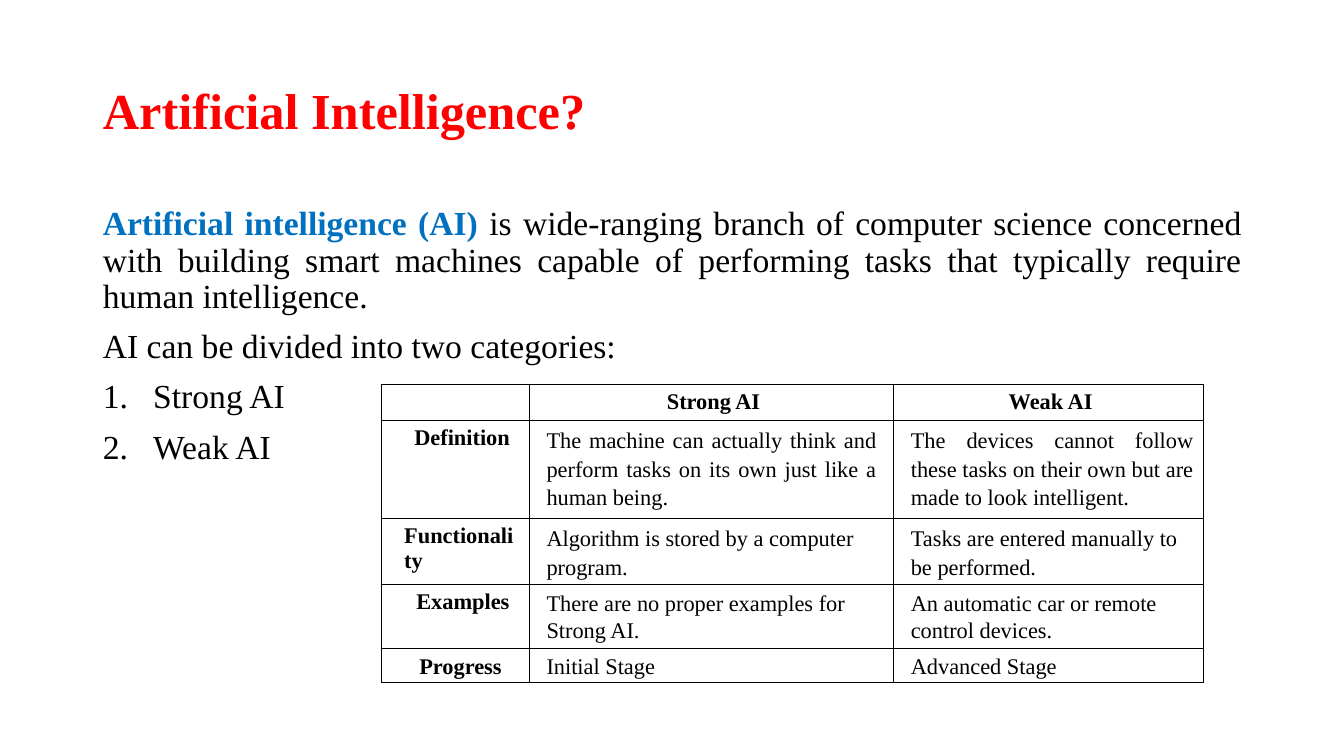
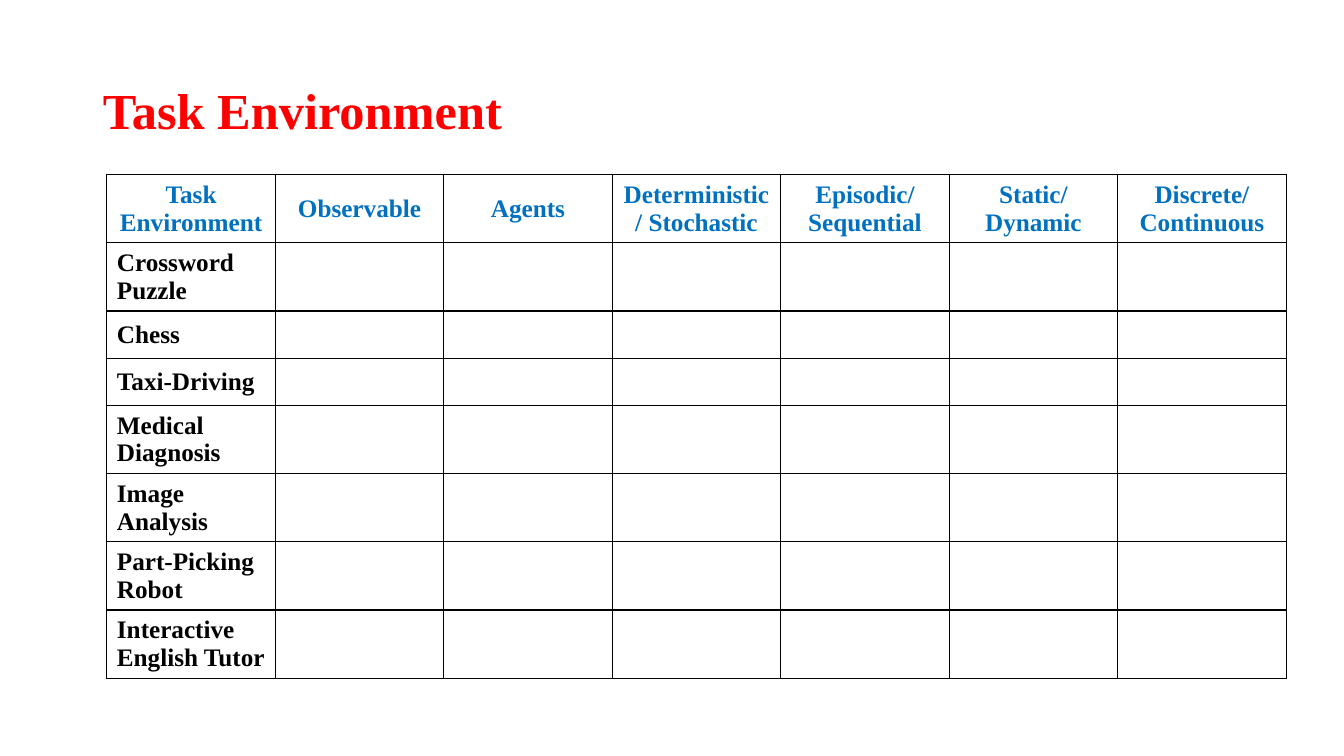
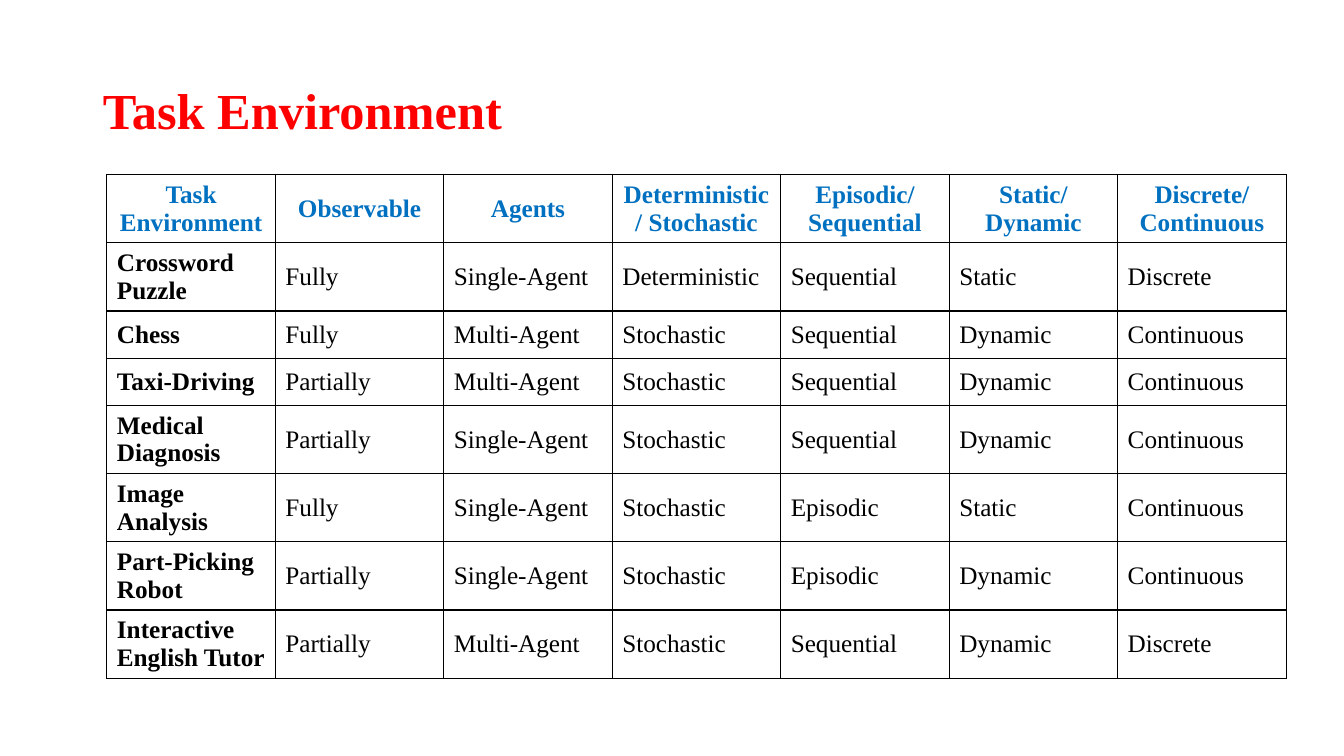
from lxml import etree
from pptx import Presentation
from pptx.dml.color import RGBColor
from pptx.enum.text import MSO_ANCHOR, MSO_AUTO_SIZE, PP_ALIGN
from pptx.oxml.ns import qn
from pptx.util import Inches, Pt

FONT = "Times New Roman"
RED = RGBColor(0xFF, 0x00, 0x00)
BLUE = RGBColor(0x00, 0x70, 0xC0)
BLACK = RGBColor(0x00, 0x00, 0x00)

LEFT, CENTER, JUSTIFY = PP_ALIGN.LEFT, PP_ALIGN.CENTER, PP_ALIGN.JUSTIFY
TOP, MIDDLE = MSO_ANCHOR.TOP, MSO_ANCHOR.MIDDLE
NO_AUTOFIT = MSO_AUTO_SIZE.NONE

WIDTH, HEIGHT = Inches(13.33), Inches(7.5)
TITLE_AND_BODY, TITLE_ONLY = 1, 5

# Areas: left, top, width, height in percent of the slide
TITLE_AREA = (6.9, 5.33, 86.25, 19.33)
BODY_AREA = (6.9, 26.67, 86.25, 63.47)
COMPARISON_AREA = (28.35, 50.8, 61.2, 39.2)
ENVIRONMENT_AREA = (7.95, 23.07, 87.75, 66.67)

COMPARISON = [
    ["", "Strong AI", "Weak AI"],
    ["Definition",
     "The machine can actually think and perform tasks on its own just like a human being.",
     "The devices cannot follow these tasks on their own but are made to look intelligent."],
    ["Functionality", "Algorithm is stored by a computer program.",
     "Tasks are entered manually to be performed."],
    ["Examples", "There are no proper examples for Strong AI.",
     "An automatic car or remote control devices."],
    ["Progress", "Initial Stage", "Advanced Stage"],
]
COMPARISON_COLUMNS = [1.47, 3.61, 3.07]
COMPARISON_ROWS = [0.34, 0.98, 0.66, 0.65, 0.34]
LABEL_INDENTS = [0, 0.23, 0.13, 0.25, 0.28]
LINE_SPACINGS = [1, 1.14, 1.14, 1.08, 1]

ENVIRONMENT_HEADER = [
    "Task Environment", "Observable", "Agents", "Deterministic/ Stochastic",
    "Episodic/ Sequential", "Static/ Dynamic", "Discrete/ Continuous",
]
ENVIRONMENTS = {
    "Crossword Puzzle": ["Fully", "Single-Agent", "Deterministic", "Sequential", "Static", "Discrete"],
    "Chess": ["Fully", "Multi-Agent", "Stochastic", "Sequential", "Dynamic", "Continuous"],
    "Taxi-Driving": ["Partially", "Multi-Agent", "Stochastic", "Sequential", "Dynamic", "Continuous"],
    "Medical Diagnosis": ["Partially", "Single-Agent", "Stochastic", "Sequential", "Dynamic", "Continuous"],
    "Image Analysis": ["Fully", "Single-Agent", "Stochastic", "Episodic", "Static", "Continuous"],
    "Part-Picking Robot": ["Partially", "Single-Agent", "Stochastic", "Episodic", "Dynamic", "Continuous"],
    "Interactive English Tutor": ["Partially", "Multi-Agent", "Stochastic", "Sequential", "Dynamic", "Discrete"],
}
ENVIRONMENT_ROWS = [0.68, 0.68, 0.47, 0.47, 0.68, 0.68, 0.68, 0.68]


def to_lengths(area):
    """Turn percentages of the slide into lengths."""
    return [round(share * side / 100) for share, side in zip(area, (WIDTH, HEIGHT) * 2)]


def place(shape, area):
    shape.left, shape.top, shape.width, shape.height = to_lengths(area)


def format_span(span, size, color=BLACK, bold=False):
    font = span.font
    font.name, font.size, font.bold = FONT, Pt(size), bold
    font.color.rgb = color


def set_indent(para, left, first=0):
    properties = para._p.get_or_add_pPr()
    properties.set("marL", str(Inches(left)))
    properties.set("indent", str(Inches(first)))
    return properties


# Title and body text
def add_page(deck, layout, title):
    page = deck.slides.add_slide(deck.slide_layouts[layout])
    box = page.shapes.title
    place(box, TITLE_AREA)
    frame = box.text_frame
    frame.text = title
    frame.auto_size, frame.vertical_anchor = NO_AUTOFIT, MIDDLE
    para = frame.paragraphs[0]
    para.alignment, para.line_spacing = LEFT, 0.9
    format_span(para.runs[0], 36, RED, True)
    return page


def add_body_para(frame, text, lead="", numbered=False):
    """Add a justified paragraph with an optional coloured lead or number."""
    first = not frame.text
    para = frame.paragraphs[0] if first else frame.add_paragraph()
    if numbered:
        properties = set_indent(para, 0.5, -0.5)
        etree.SubElement(properties, qn("a:buAutoNum"), type="arabicPeriod")
    else:
        etree.SubElement(set_indent(para, 0), qn("a:buNone"))
    para.alignment, para.line_spacing = JUSTIFY, 0.9
    para.space_before = Pt(0 if first else 10)
    if lead:
        span = para.add_run()
        span.text = lead
        format_span(span, 24, BLUE, True)
    span = para.add_run()
    span.text = text
    format_span(span, 24)


# Tables
def split(total, weights):
    return [round(total * weight / sum(weights)) for weight in weights]


def draw_borders(cell, width):
    properties = cell._tc.get_or_add_tcPr()
    for side in ("a:lnL", "a:lnR", "a:lnT", "a:lnB"):
        line = etree.SubElement(properties, qn(side), w=str(Pt(width)))
        fill = etree.SubElement(line, qn("a:solidFill"))
        etree.SubElement(fill, qn("a:srgbClr"), val=str(BLACK))


def add_grid(page, area, columns, rows, content, border):
    """Add a plain ruled table whose columns and rows follow the given weights."""
    left, top, width, height = to_lengths(area)
    table = page.shapes.add_table(len(rows), len(columns), left, top, width, height).table
    table.first_row = table.horz_banding = False
    for column, length in zip(table.columns, split(width, columns)):
        column.width = length
    for row, length, texts in zip(table.rows, split(height, rows), content):
        row.height = length
        for cell, text in zip(row.cells, texts):
            cell.text = text
            draw_borders(cell, border)
            cell.fill.background()
    return table


def format_cell(cell, size, color=BLACK, bold=False, align=LEFT, anchor=TOP, indent=0, spacing=1):
    cell.vertical_anchor = anchor
    para = cell.text_frame.paragraphs[0]
    set_indent(para, indent)
    para.alignment, para.line_spacing = align, spacing
    for span in para.runs:
        format_span(span, size, color, bold)
    if not para.runs:
        etree.SubElement(para._p, qn("a:endParaRPr"), sz=str(size * 100))


def add_comparison(page):
    table = add_grid(page, COMPARISON_AREA, COMPARISON_COLUMNS, COMPARISON_ROWS, COMPARISON, 0.85)
    for r, row in enumerate(table.rows):
        for c, cell in enumerate(row.cells):
            cell.margin_bottom = Inches(0.04)
            if r == 0:
                format_cell(cell, 16, bold=True, align=CENTER, indent=0.04)
            elif c == 0:
                format_cell(cell, 16, bold=True, indent=LABEL_INDENTS[r])
            else:
                format_cell(cell, 16, align=JUSTIFY if r == 1 else LEFT,
                            indent=0.07, spacing=LINE_SPACINGS[r])
    table.cell(1, 1).margin_right = Inches(0.17)


def add_environments(page, filled):
    content = [ENVIRONMENT_HEADER]
    for name, values in ENVIRONMENTS.items():
        content.append([name] + (values if filled else [""] * len(values)))
    table = add_grid(page, ENVIRONMENT_AREA, [1] * len(ENVIRONMENT_HEADER),
                     ENVIRONMENT_ROWS, content, 0.96)
    for r, row in enumerate(table.rows):
        for c, cell in enumerate(row.cells):
            header = r == 0
            format_cell(cell, 18, BLUE if header else BLACK, header or c == 0,
                        CENTER if header else LEFT, MIDDLE)


def main():
    deck = Presentation()
    deck.slide_width, deck.slide_height = WIDTH, HEIGHT

    # Definition and the two categories
    page = add_page(deck, TITLE_AND_BODY, "Artificial Intelligence?")
    body = page.placeholders[1]
    place(body, BODY_AREA)
    frame = body.text_frame
    frame.auto_size, frame.vertical_anchor = NO_AUTOFIT, TOP
    add_body_para(
        frame,
        "is wide-ranging branch of computer science concerned with building smart machines "
        "capable of performing tasks that typically require human intelligence.",
        lead="Artificial intelligence (AI) ")
    add_body_para(frame, "AI can be divided into two categories:")
    for category in COMPARISON[0][1:]:
        add_body_para(frame, category, numbered=True)
    add_comparison(page)

    # Task environments, first open and then answered
    for filled in (False, True):
        page = add_page(deck, TITLE_ONLY, "Task Environment")
        add_environments(page, filled)

    deck.save("out.pptx")


if __name__ == "__main__":
    main()
